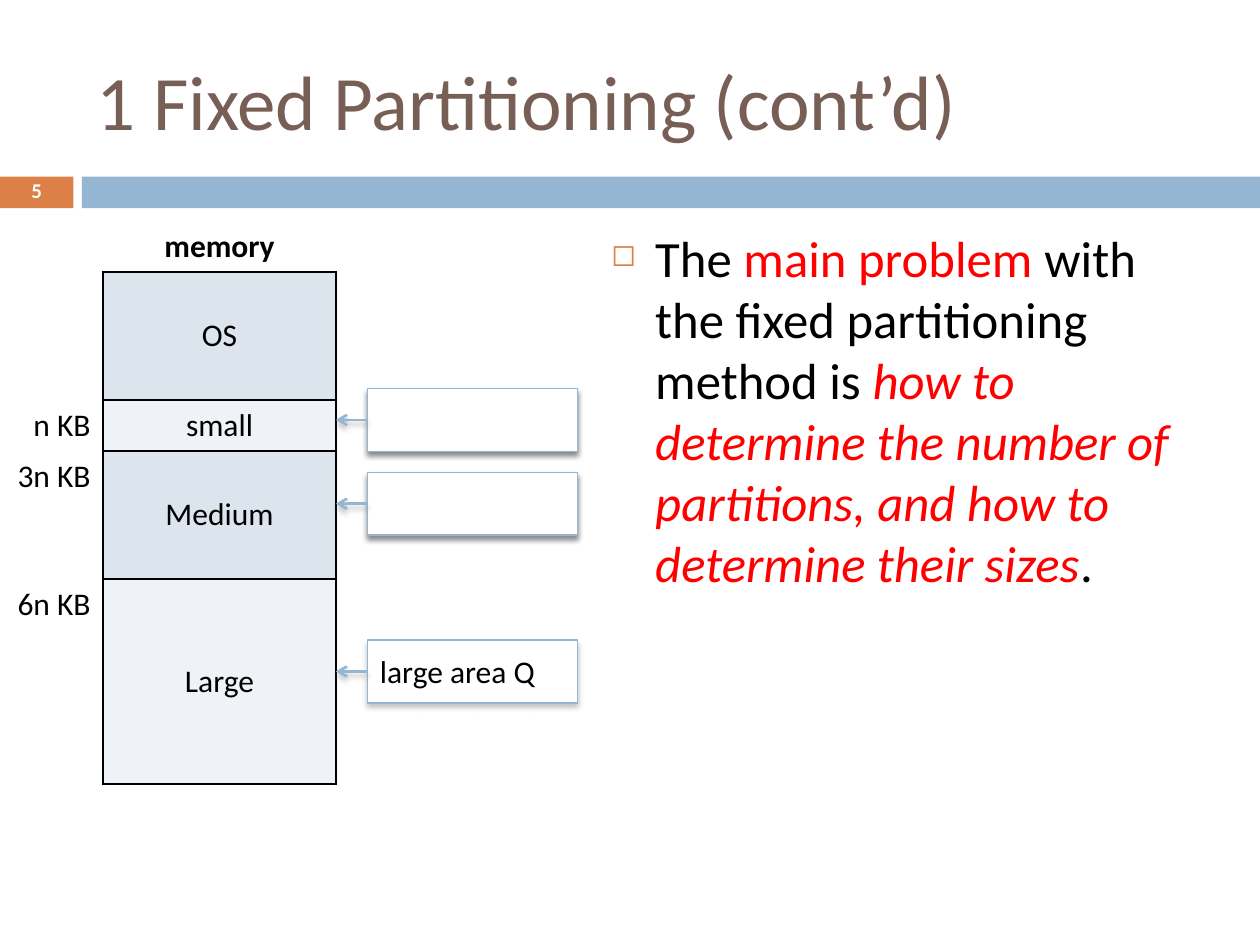
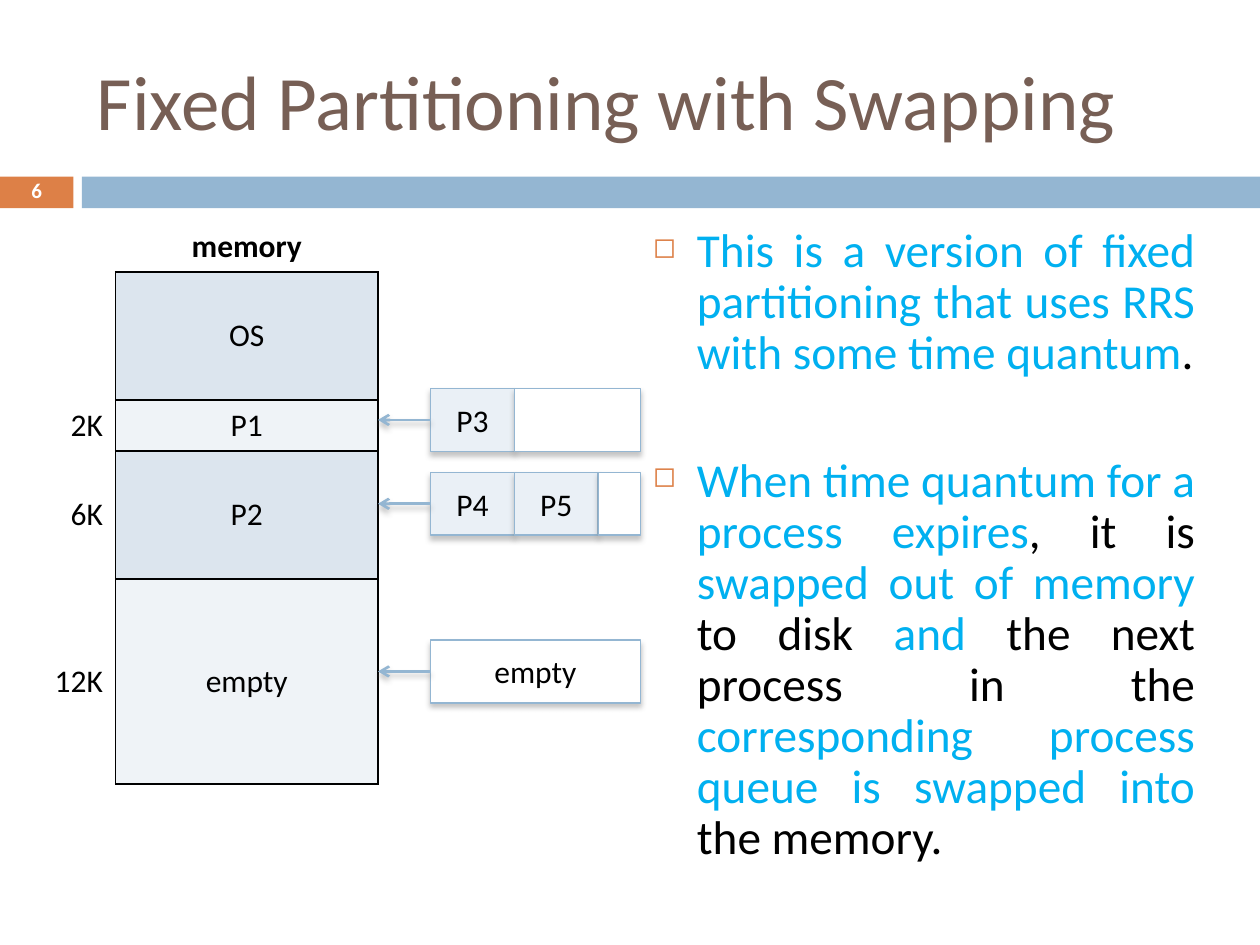
from dataclasses import dataclass

from lxml import etree
from pptx import Presentation
from pptx.dml.color import RGBColor
from pptx.enum.shapes import MSO_CONNECTOR, MSO_SHAPE
from pptx.enum.text import MSO_ANCHOR, MSO_AUTO_SIZE, PP_ALIGN
from pptx.oxml.ns import qn
from pptx.util import Cm, Pt

RECTANGLE = MSO_SHAPE.RECTANGLE
STRAIGHT = MSO_CONNECTOR.STRAIGHT
LEFT, CENTER, RIGHT, JUSTIFY = (PP_ALIGN.LEFT, PP_ALIGN.CENTER,
                                PP_ALIGN.RIGHT, PP_ALIGN.JUSTIFY)
TOP, MIDDLE = MSO_ANCHOR.TOP, MSO_ANCHOR.MIDDLE
NO_AUTOFIT = MSO_AUTO_SIZE.NONE
LEFT_SIDE = 1
TITLE_ONLY = 5


@dataclass(frozen=True)
class Theme:
    font: str = "Calibri"
    title: str = "775F55"
    accent: str = "DD8047"
    band: str = "94B6D2"
    ink: str = "000000"
    paper: str = "FFFFFF"
    red: str = "FF0000"
    sky: str = "00B0F0"
    block_dark: str = "DCE5EE"
    block_light: str = "EFF3F7"
    process: str = "EAF0F6"
    shadow: str = "808080"
    title_size: int = 44
    label_size: int = 18
    number_size: int = 12


THEME = Theme()

# Lengths in centimetres
CONTENT_TOP = 4.45
BAND_TOP, BAND_HEIGHT = 3.56, 0.64
ROW_HEIGHTS = (1.03, 2.58, 1.03, 2.58, 4.13)
QUEUE_TOP, QUEUE_HEIGHT, QUEUE_WIDTH = 7.83, 1.27, 4.23
SLOT = 1.69  # width of one queued process and step between queue rows
QUEUE_ROWS = (0, 1, 3)


def add_xml(parent, tag, **attributes):
    return etree.SubElement(parent, qn(tag), attributes)


class Deck:
    """Holds the theme and the current page, and draws each kind of element."""

    def __init__(self, theme):
        self.theme = theme
        self.deck = Presentation()
        self.deck.slide_width, self.deck.slide_height = Cm(25.4), Cm(19.05)
        self.page = None

    def span(self, para, text, size, color, bold=False, italic=False):
        run = para.add_run()
        run.text = text
        font = run.font
        font.name, font.size = self.theme.font, Pt(size)
        font.bold, font.italic = bold, italic
        font.color.rgb = RGBColor.from_string(color)

    def shade(self, properties, color):
        """Cast a soft shadow straight down."""
        effects = properties.find(qn("a:effectLst"))
        if effects is None:
            effects = add_xml(properties, "a:effectLst")
        shadow = add_xml(effects, "a:outerShdw", blurRad=str(Pt(3)), dist=str(Pt(2.4)),
                         dir="5400000", rotWithShape="0")
        add_xml(add_xml(shadow, "a:srgbClr", val=color), "a:alpha", val="45000")

    def box(self, left, top, width, height, fill, line=None, shadow=None):
        box = self.page.shapes.add_shape(
            RECTANGLE, Cm(left), Cm(top), Cm(width), Cm(height))
        box.shadow.inherit = False
        box.fill.solid()
        box.fill.fore_color.rgb = RGBColor.from_string(fill)
        if line:
            box.line.color.rgb = RGBColor.from_string(line)
            box.line.width = Pt(0.79)
        else:
            box.line.fill.background()
        if shadow:
            self.shade(box._element.spPr, shadow)
        return box

    def label(self, box, text, align):
        frame = box.text_frame
        frame.word_wrap, frame.vertical_anchor = True, MIDDLE
        para = frame.paragraphs[0]
        para.alignment = align
        self.span(para, text, self.theme.label_size, self.theme.ink)

    def new_page(self, title, number, title_width):
        theme = self.theme
        self.page = self.deck.slides.add_slide(self.deck.slide_layouts[TITLE_ONLY])

        # Title
        holder = self.page.shapes.title
        holder.left, holder.top = Cm(1.7), Cm(0.64)
        holder.width, holder.height = Cm(title_width), Cm(2.74)
        frame = holder.text_frame
        frame.auto_size, frame.vertical_anchor = NO_AUTOFIT, MIDDLE
        para = frame.paragraphs[0]
        para.alignment = LEFT
        self.span(para, title, theme.title_size, theme.title)

        # Band with the page number
        self.box(1.65, BAND_TOP, 23.75, BAND_HEIGHT, theme.band)
        tab = self.box(0, BAND_TOP, 1.48, BAND_HEIGHT, theme.accent)
        frame = tab.text_frame
        frame.vertical_anchor = MIDDLE
        frame.margin_top = frame.margin_bottom = 0
        para = frame.paragraphs[0]
        para.alignment, para.line_spacing = CENTER, 0.8
        self.span(para, str(number), theme.number_size, theme.paper, bold=True)

    def bullets(self, left, width, size, items, align=LEFT, spacing=1.0, gap=7):
        """Each item is a list of (text, color) or (text, color, bold, italic)."""
        box = self.page.shapes.add_textbox(Cm(left), Cm(CONTENT_TOP), Cm(width), Cm(12.5))
        frame = box.text_frame
        frame.word_wrap = True
        for index, spans in enumerate(items):
            para = frame.add_paragraph() if index else frame.paragraphs[0]
            para.alignment, para.line_spacing = align, spacing
            para.space_before = Pt(gap if index else 7)
            properties = para._p.get_or_add_pPr()
            properties.set("marL", str(Cm(0.89)))
            properties.set("indent", str(Cm(-0.89)))
            add_xml(add_xml(properties, "a:buClr"), "a:srgbClr", val=self.theme.accent)
            add_xml(properties, "a:buSzPct", val="60000")
            add_xml(properties, "a:buChar", char="◻")
            for text, color, *style in spans:
                self.span(para, text, size, color, *style)

    def cell(self, cell, text, align, anchor, borders, fill=None, bold=False):
        """Borders are colours in the order left, right, top, bottom."""
        properties = cell._tc.get_or_add_tcPr()
        for side, color in zip("LRTB", borders):
            line = add_xml(properties, f"a:ln{side}", w=str(Pt(1)))
            add_xml(add_xml(line, "a:solidFill"), "a:srgbClr", val=color)
        if fill:
            cell.fill.solid()
            cell.fill.fore_color.rgb = RGBColor.from_string(fill)
        else:
            cell.fill.background()
        cell.vertical_anchor = anchor
        para = cell.text_frame.paragraphs[0]
        para.alignment = align
        if text:
            self.span(para, text, self.theme.label_size, self.theme.ink, bold)

    def memory(self, widths, sizes, blocks, size_anchor):
        """Memory map: partition sizes on the left, contents on the right."""
        ink, paper = self.theme.ink, self.theme.paper
        table = self.page.shapes.add_table(
            len(ROW_HEIGHTS), 2, 0, Cm(CONTENT_TOP),
            Cm(sum(widths)), Cm(sum(ROW_HEIGHTS))).table
        table.first_row = table.horz_banding = False
        for column, width in zip(table.columns, widths):
            column.width = Cm(width)
        for row, height in zip(table.rows, ROW_HEIGHTS):
            row.height = Cm(height)

        self.cell(table.cell(0, 0), "", CENTER, TOP, [paper] * 4, paper)
        self.cell(table.cell(0, 1), "memory", CENTER, TOP,
                  [paper, paper, paper, ink], paper, bold=True)
        fills = (self.theme.block_light, self.theme.block_dark)
        for row, (size, block) in enumerate(zip(sizes, blocks), 1):
            self.cell(table.cell(row, 0), size, RIGHT, size_anchor,
                      [paper, ink, paper, paper])
            self.cell(table.cell(row, 1), block, CENTER, MIDDLE, [ink] * 4, fills[row % 2])

    def arrow(self, box, end):
        middle = box.top + box.height // 2
        arrow = self.page.shapes.add_connector(STRAIGHT, box.left, middle, Cm(end), middle)
        arrow.begin_connect(box, LEFT_SIDE)
        arrow.line.color.rgb = RGBColor.from_string(self.theme.band)
        arrow.line.width = Pt(1.5)
        add_xml(arrow.line._get_or_add_ln(), "a:tailEnd", type="arrow")
        self.shade(arrow._element.spPr, self.theme.shadow)

    def queue(self, row, left, memory_edge, processes=(), text="", align=CENTER, shadow=None):
        """Waiting processes, then the free rest, pointing at the memory map."""
        theme = self.theme
        used = SLOT * len(processes)
        parts = [(SLOT * index, SLOT, theme.process, name)
                 for index, name in enumerate(processes)]
        parts.append((used, QUEUE_WIDTH - used, theme.paper, text))
        boxes = []
        for offset, width, fill, name in parts:
            box = self.box(left + offset, QUEUE_TOP + SLOT * row, width, QUEUE_HEIGHT,
                           fill, theme.band, shadow or theme.shadow)
            if name:
                self.label(box, name, align)
            boxes.append(box)
        self.arrow(boxes[0], memory_edge)


def fixed_partitioning(deck):
    ink, red = THEME.ink, THEME.red
    widths = (2.08, 4.69)
    deck.new_page("1 Fixed Partitioning (cont’d)", 5, 22.66)
    deck.bullets(12.07, 12.3, 29, [[
        ("The ", ink),
        ("main problem ", red),
        ("with the fixed partitioning method is ", ink),
        ("how to determine the number of partitions, and how to determine their sizes",
         red, False, True),
        (".", ink),
    ]])
    deck.memory(widths, ("", "n KB", "3n KB", "6n KB"),
                ("OS", "small", "Medium", "Large"), TOP)
    queues = (("", THEME.ink), ("", THEME.ink), ("large area Q", THEME.shadow))
    for row, (text, shadow) in zip(QUEUE_ROWS, queues):
        deck.queue(row, 7.41, sum(widths), text=text, align=LEFT, shadow=shadow)


def swapping(deck):
    ink, sky = THEME.ink, THEME.sky
    widths = (2.33, 5.29)
    deck.new_page("Fixed Partitioning with Swapping", 6, 23.7)
    deck.bullets(12.91, 11.43, 27, [
        [
            ("This is a version of fixed partitioning that uses RRS with some time quantum", sky),
            (".", ink),
        ],
        [
            ("When time quantum for a process expires", sky),
            (", it is ", ink),
            ("swapped out of memory", sky),
            (" to disk ", ink),
            ("and", sky),
            (" the next process in the ", ink),
            ("corresponding process queue is swapped into ", sky),
            ("the memory.", ink),
        ],
    ], align=JUSTIFY, spacing=0.9, gap=43.5)
    deck.memory(widths, ("", "2K", "6K", "12K"), ("OS", "P1", "P2", "empty"), MIDDLE)
    queues = ((["P3"], ""), (["P4", "P5"], ""), ([], "empty"))
    for row, (processes, text) in zip(QUEUE_ROWS, queues):
        deck.queue(row, 8.68, sum(widths), processes, text)


def main():
    deck = Deck(THEME)
    fixed_partitioning(deck)
    swapping(deck)
    deck.deck.save("out.pptx")


if __name__ == "__main__":
    main()
